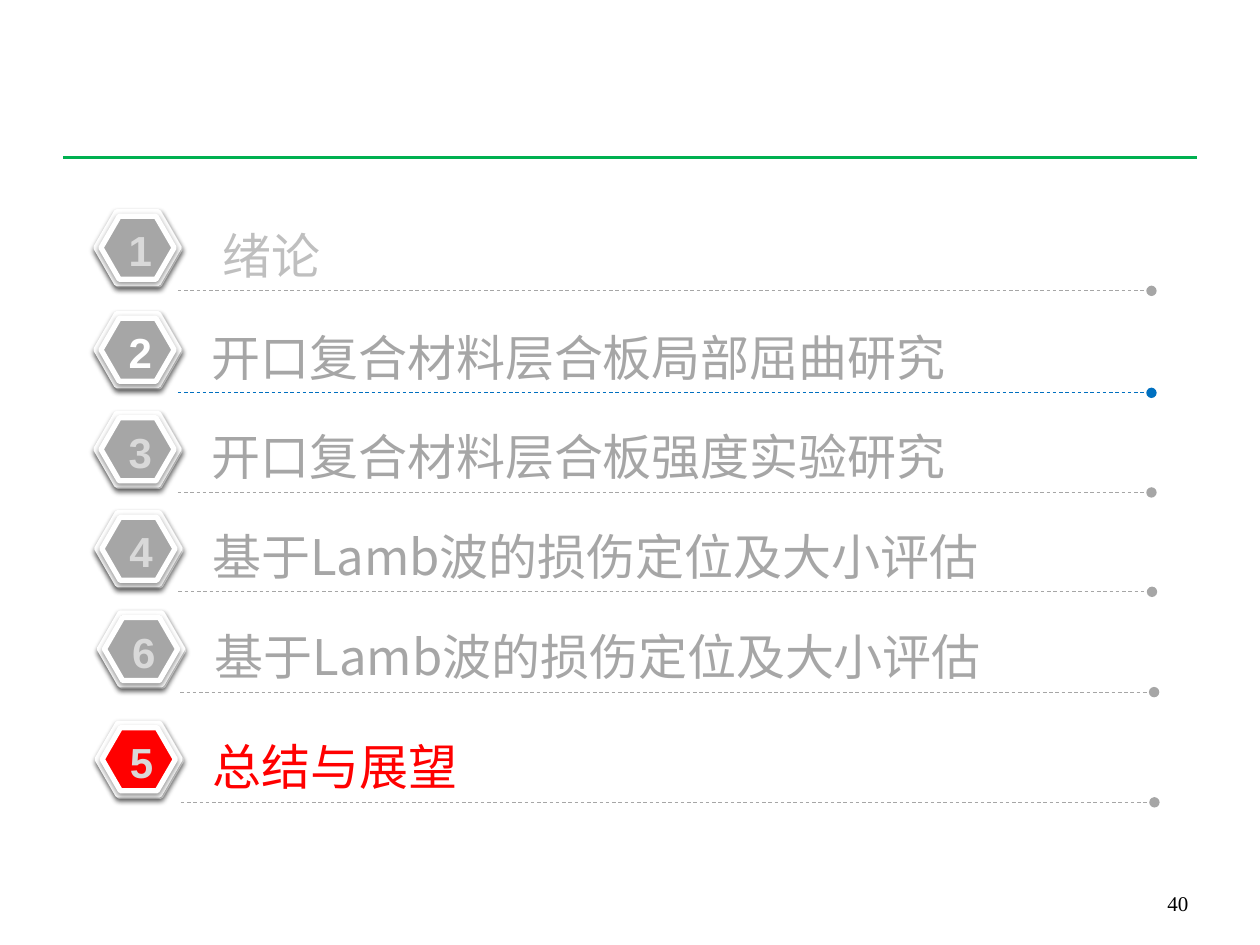
"""Builds the agenda slide with numbered hexagon badges and dashed rules."""
from lxml import etree
from pptx import Presentation
from pptx.dml.color import RGBColor
from pptx.enum.dml import MSO_LINE
from pptx.enum.shapes import MSO_CONNECTOR, MSO_SHAPE
from pptx.enum.text import MSO_ANCHOR, MSO_AUTO_SIZE, PP_ALIGN
from pptx.oxml.ns import qn
from pptx.util import Pt

STRAIGHT = MSO_CONNECTOR.STRAIGHT
HEXAGON = MSO_SHAPE.HEXAGON
DASH = MSO_LINE.DASH
BOTTOM, TOP = MSO_ANCHOR.BOTTOM, MSO_ANCHOR.TOP
GROW, FIXED = MSO_AUTO_SIZE.SHAPE_TO_FIT_TEXT, MSO_AUTO_SIZE.NONE
LEFT, CENTER, RIGHT = PP_ALIGN.LEFT, PP_ALIGN.CENTER, PP_ALIGN.RIGHT

THEME = {
    "green": "00B050", "gray": "A6A6A6", "pale": "BFBFBF", "light": "D9D9D9",
    "white": "FFFFFF", "red": "FF0000", "blue": "0070C0", "black": "000000",
    "heading": ("Noto Sans CJK SC", 28, False),
    "number": ("Arial", 24, True),
    "page": ("Times New Roman", 12, False),
}


def add_text(box, text, style, color, align=LEFT, anchor=TOP, fit=GROW):
    tb = slide.shapes.add_textbox(*map(Pt, box))
    tf = tb.text_frame
    tf.word_wrap = True
    tf.auto_size = fit
    tf.vertical_anchor = anchor
    p = tf.paragraphs[0]
    p.alignment = align
    r = p.add_run()
    r.text = text
    name, size, bold = THEME[style]
    r.font.name, r.font.size, r.font.bold = name, Pt(size), bold
    r.font.color.rgb = RGBColor.from_string(THEME[color])
    latin = r.font._element.find(qn("a:latin"))
    ea = etree.Element(qn("a:ea"), typeface=name)
    latin.addnext(ea)
    return tf


def add_rule(x1, x2, y, color, width):
    ln = slide.shapes.add_connector(STRAIGHT, Pt(x1), Pt(y), Pt(x2), Pt(y))
    ln.line.color.rgb = RGBColor.from_string(THEME[color])
    ln.line.width = Pt(width)
    etree.SubElement(ln._element.spPr, qn("a:effectLst"))
    return ln


prs = Presentation()
prs.slide_width, prs.slide_height = Pt(720), Pt(540)
slide = prs.slides.add_slide(prs.slide_layouts[6])

add_rule(36, 684, 90, "green", 2.25)
add_text((518.4, 491, 167.8, 36), "40", "page", "black", RIGHT, BOTTOM, FIXED)

LAMB = "基于Lamb波的损伤定位及大小评估"
ROWS = [
    ("1", "绪论", 121, 0, 0, 6.3, "gray", "pale", "light", "gray"),
    ("2", "开口复合材料层合板局部屈曲研究", 179.3, 0, 0, 0, "gray", "gray", "white", "blue"),
    ("3", "开口复合材料层合板强度实验研究", 236.2, 0, 0, 0, "gray", "gray", "light", "gray"),
    ("4", LAMB, 293, 0.5, 0.3, 0, "gray", "gray", "light", "gray"),
    ("6", LAMB, 350.3, 2, 1.5, 0, "gray", "gray", "light", "gray"),
    ("5", "总结与展望", 413.3, 0.7, 1.7, 0, "red", "red", "light", "gray"),
]
HEXAGONS = [(0.7, 0.7, 47.5, 41), (0, 0, 47.5, 41), (2.9, 2.6, 41.8, 36)]

for number, heading, y, dx, rule_dx, indent, fill, color, digit, rule in ROWS:
    badge = slide.shapes.add_group_shape()
    for left, top, w, h in HEXAGONS:
        sp = badge.shapes.add_shape(HEXAGON, Pt(54.8 + dx + left), Pt(y + top), Pt(w), Pt(h))
        sp.adjustments[0], sp.adjustments[1] = 0.289, 1.155
        sp.fill.solid()
        sp.fill.fore_color.rgb = RGBColor.from_string(THEME[fill])
        sp.line.color.rgb = RGBColor.from_string(THEME["white"])
        sp.line.width = Pt(3)
        sp.shadow.inherit = False
        effects = sp._element.spPr.find(qn("a:effectLst"))
        shadow = etree.SubElement(effects, qn("a:outerShdw"), blurRad=str(Pt(3.1)),
                                  dist=str(Pt(1.6)), dir="5400000", rotWithShape="0")
        tint = etree.SubElement(shadow, qn("a:srgbClr"), val=THEME["black"])
        etree.SubElement(tint, qn("a:alpha"), val="38000")

    tf = add_text((113.8 + dx, y + 4.2, 560, 41), heading, "heading", color)
    tf.margin_left = Pt(7.2 + indent)
    add_text((66.4 + dx, y + 4, 25.2, 36), number, "number", digit, CENTER)

    ln = add_rule(101.6 + rule_dx, 658 + rule_dx, y + 45.2, rule, 0.5)
    ln.line.dash_style = DASH
    etree.SubElement(ln.line._get_or_add_ln(), qn("a:tailEnd"), type="oval")

prs.save("out.pptx")
